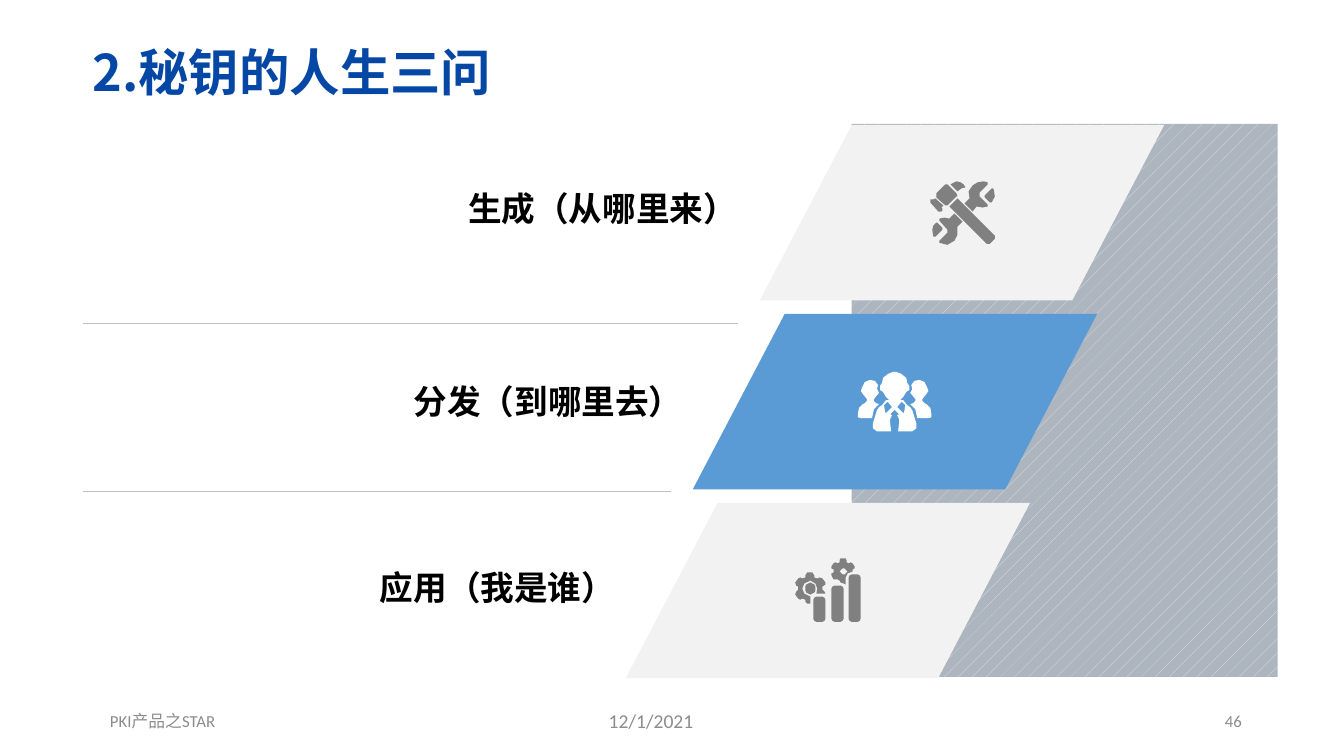
from lxml import etree
from pptx import Presentation
from pptx.dml.color import RGBColor
from pptx.enum.dml import MSO_PATTERN
from pptx.enum.shapes import MSO_CONNECTOR, MSO_SHAPE
from pptx.enum.text import MSO_ANCHOR, PP_ALIGN
from pptx.oxml.ns import qn
from pptx.util import Cm, Pt
from math import cos, pi, sin

LEFT, CENTER, RIGHT = PP_ALIGN.LEFT, PP_ALIGN.CENTER, PP_ALIGN.RIGHT
MIDDLE = MSO_ANCHOR.MIDDLE
RECTANGLE, PARALLELOGRAM = MSO_SHAPE.RECTANGLE, MSO_SHAPE.PARALLELOGRAM
STRAIGHT = MSO_CONNECTOR.STRAIGHT
PERCENT_5 = MSO_PATTERN.PERCENT_5

NAVY = RGBColor(0x05, 0x47, 0xA4)
BLUE = RGBColor(0x5B, 0x9B, 0xD5)
BLACK = RGBColor(0, 0, 0)
WHITE = RGBColor(255, 255, 255)
PALE = RGBColor(0xF2, 0xF2, 0xF2)
ICON_GRAY = RGBColor(0x80, 0x80, 0x80)
FOOTER_GRAY = RGBColor(0x8C, 0x8C, 0x8C)
RULE_GRAY = RGBColor(0xBF, 0xBF, 0xBF)
STRIPE = RGBColor(0xE4, 0xE6, 0xEA)
PANEL_GRAY = RGBColor(0xAD, 0xB5, 0xBF)

CJK = "Noto Sans CJK SC"
TITLE_FONT = {"name": CJK, "size": Pt(36), "bold": True}
LABEL_FONT = {"name": "Calibri", "size": Pt(24), "bold": True}
DATE_FONT = {"name": "Calibri", "size": Pt(14)}
FOOTER_FONT = {"name": "Calibri", "size": Pt(12)}

TEXTS = [
    ("2.秘钥的人生三问", (2.08, 1.24, 27.91, 1.32), LEFT, TITLE_FONT, NAVY),
    ("12/1/2021", (15.09, 17.65, 3, 1.02), LEFT, DATE_FONT, FOOTER_GRAY),
    ("PKI产品之STAR", (2.08, 17.65, 4.04, 1.02), CENTER, FOOTER_FONT, FOOTER_GRAY),
    ("46", (23.93, 17.65, 7.62, 1.02), RIGHT, FOOTER_FONT, FOOTER_GRAY),
    ("生成（从哪里来）", (11.33, 4.67, 7.49, 1.14), RIGHT, LABEL_FONT, BLACK),
    ("分发（到哪里去）", (9.91, 9.19, 7.54, 1.85), RIGHT, LABEL_FONT, BLACK),
    ("应用（我是谁）", (8.92, 14.07, 6.83, 1.45), RIGHT, LABEL_FONT, BLACK),
]

PANEL = (21.46, 3.12, 10.74, 13.94)
BAND_LEFT, BAND_TOP, BAND_WIDTH, BAND_HEIGHT = 19.15, 3.15, 10.19, 4.42
BAND_SHIFT, BAND_PITCH, BAND_SLANT = 1.69, 4.76, 0.524
RULE_LEFT, RULE_RIGHT, RULE_TOPS = 2.08, 18.59, (8.15, 12.37)

ICON_UNIT = Cm(0.0254)

TOOLS = [
    [(7, 41), (8, 41), (13, 46), (13, 48), (6, 55), (4, 55), (3, 48), (4, 44)],
    [(25, 32), (33, 40), (28, 45), (28, 53), (25, 59), (18, 63), (10, 61), (10, 59),
     (18, 51), (18, 48), (10, 39), (10, 37), (15, 36), (20, 37)],
    [(28, 17), (65, 54), (65, 57), (60, 62), (57, 62), (20, 25)],
    [(6, 17), (14, 24), (12, 26), (13, 27), (13, 29), (12, 30), (9, 30), (1, 21),
     (1, 18), (4, 18)],
    [(63, 7), (64, 8), (65, 15), (62, 21), (60, 21), (55, 16), (55, 14), (62, 7)],
    [(17, 3), (18, 3), (27, 12), (28, 15), (27, 15), (18, 24), (16, 24), (7, 16),
     (7, 12), (16, 3)],
    [(27, 0), (31, 1), (34, 3), (36, 6), (32, 7), (28, 10), (21, 3)],
    [(54, 0), (58, 1), (58, 3), (50, 11), (50, 15), (58, 23), (58, 25), (53, 26),
     (47, 25), (43, 30), (35, 22), (40, 17), (39, 10), (43, 4), (48, 1)],
]

HALF_LEADER = [
    (38, 0), (43, 2), (48, 6), (49, 11), (51, 14), (51, 18), (48, 20), (45, 25),
    (42, 28), (45, 28), (49, 33), (52, 35), (54, 38), (58, 51), (58, 56), (54, 59),
    (40, 59), (41, 50), (41, 47), (39, 43), (41, 42), (37, 38)]
LAPEL = [(43, 30), (39, 35), (45, 41), (46, 40), (47, 33), (44, 30)]
MEMBER = [
    (61, 8), (66, 10), (69, 16), (70, 19), (68, 22), (64, 27), (64, 29), (66, 31),
    (68, 32), (72, 36), (73, 42), (73, 45), (70, 46), (59, 46), (57, 37), (52, 32),
    (55, 31), (57, 29), (57, 27), (53, 22), (52, 21), (54, 17), (53, 13), (56, 9)]

LARGE_GEAR = [
    (12, 14), (17, 14), (19, 17), (19, 19), (22, 20), (24, 19), (27, 20), (30, 24),
    (30, 26), (27, 28), (27, 31), (29, 33), (30, 35), (21, 35), (22, 30), (20, 25),
    (15, 22), (9, 25), (7, 30), (9, 35), (15, 38), (15, 45), (12, 45), (10, 43),
    (10, 41), (7, 40), (5, 41), (3, 40), (0, 36), (1, 33), (3, 31), (3, 28), (1, 27),
    (0, 24), (3, 20), (5, 19), (7, 20), (10, 19), (10, 17)]
SMALL_GEAR = [
    (45, 0), (50, 0), (51, 2), (51, 4), (53, 5), (55, 4), (57, 5), (59, 8), (59, 10),
    (57, 11), (57, 13), (52, 15), (50, 19), (50, 26), (48, 25), (45, 24), (44, 22),
    (42, 21), (38, 21), (36, 17), (36, 15), (38, 14), (38, 11), (36, 10), (36, 8),
    (38, 5), (40, 4), (42, 5), (44, 4), (44, 2)]
BAR_LEFTS_TOPS = [(18, 38), (36, 27), (53, 16)]
BAR_WIDTH, BAR_BOTTOM = 12, 63


def mirrored(outline):
    return [(73 - x, y) for x, y in reversed(outline)]


def circle(x, y, radius):
    return [(x + radius * cos(k * pi / 8), y + radius * sin(k * pi / 8)) for k in range(16)]


def bar(left, top):
    right, bottom = left + BAR_WIDTH, BAR_BOTTOM
    return [(left + 3, top), (right - 3, top), (right - 1, top + 1), (right, top + 3),
            (right, bottom - 3), (right - 1, bottom - 1), (right - 3, bottom),
            (left + 3, bottom), (left + 1, bottom - 1), (left, bottom - 3),
            (left, top + 3), (left + 1, top + 1)]


TEAM = [HALF_LEADER + mirrored(HALF_LEADER), LAPEL, mirrored(LAPEL), MEMBER, mirrored(MEMBER)]
GROWTH = [LARGE_GEAR, circle(15, 30, 5.5), SMALL_GEAR, circle(48, 13, 3.5)]
GROWTH += [bar(*corner) for corner in BAR_LEFTS_TOPS]

BANDS = [
    (PALE, TOOLS, (23.42, 4.57), ICON_GRAY),
    (BLUE, TEAM, (21.62, 9.37), WHITE),
    (PALE, GROWTH, (20.04, 14.07), ICON_GRAY),
]

deck = Presentation()
deck.slide_width, deck.slide_height = Cm(33.87), Cm(19.05)
slide = deck.slides.add_slide(deck.slide_layouts[6])
shapes = slide.shapes


def paint(shape, color):
    shape.shadow.inherit = False
    shape.line.fill.background()
    shape.fill.solid()
    shape.fill.fore_color.rgb = color


def add_icon(outlines, origin, color):
    builder = shapes.build_freeform(*outlines[0][0], scale=ICON_UNIT)
    for number, outline in enumerate(outlines):
        if number:
            builder.move_to(*outline[0])
        builder.add_line_segments(outline[1:], close=True)
    paint(builder.convert_to_shape(*map(Cm, origin)), color)


def add_text(words, place, align, look, color):
    frame = shapes.add_textbox(*map(Cm, place)).text_frame
    frame.word_wrap = True
    frame.vertical_anchor = MIDDLE
    paragraph = frame.paragraphs[0]
    paragraph.alignment = align
    run = paragraph.add_run()
    run.text = words
    for key, value in look.items():
        setattr(run.font, key, value)
    run.font.color.rgb = color
    etree.SubElement(run.font._element, qn("a:ea"), typeface=CJK)
    if look is TITLE_FONT:
        paragraph.line_spacing = 0.9


panel = shapes.add_shape(RECTANGLE, *map(Cm, PANEL))
panel.shadow.inherit = False
panel.line.fill.background()
panel.fill.patterned()
panel.fill.pattern = PERCENT_5
panel.fill.fore_color.rgb = STRIPE
panel.fill.back_color.rgb = PANEL_GRAY

for row, (band_color, icon, icon_origin, icon_color) in enumerate(BANDS):
    band = shapes.add_shape(
        PARALLELOGRAM, Cm(BAND_LEFT - row * BAND_SHIFT), Cm(BAND_TOP + row * BAND_PITCH),
        Cm(BAND_WIDTH), Cm(BAND_HEIGHT))
    band.adjustments[0] = BAND_SLANT
    paint(band, band_color)
    add_icon(icon, icon_origin, icon_color)

for row, top in enumerate(RULE_TOPS):
    divider = shapes.add_connector(
        STRAIGHT, Cm(RULE_LEFT), Cm(top), Cm(RULE_RIGHT - row * BAND_SHIFT), Cm(top))
    divider.line.color.rgb = RULE_GRAY
    divider.line.width = Pt(0.25)
    etree.SubElement(divider._element.spPr, qn("a:effectLst"))

for entry in TEXTS:
    add_text(*entry)

deck.save("out.pptx")
